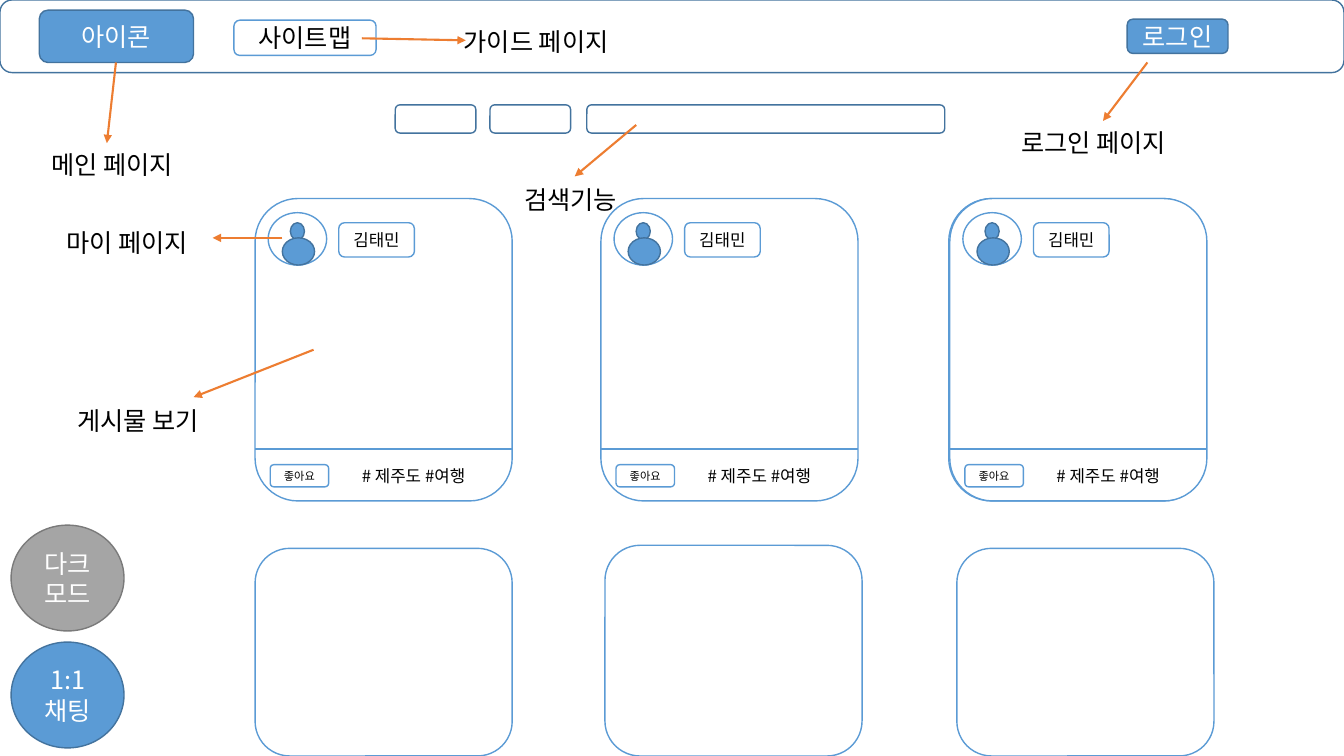
from dataclasses import dataclass

from lxml import etree
from pptx import Presentation
from pptx.dml.color import RGBColor
from pptx.enum.shapes import MSO_CONNECTOR, MSO_SHAPE
from pptx.enum.text import MSO_ANCHOR, MSO_AUTO_SIZE, PP_ALIGN
from pptx.oxml.ns import qn
from pptx.util import Inches, Pt


@dataclass(frozen=True)
class Theme:
    font: str = "Noto Sans CJK KR"
    white: str = "FFFFFF"
    black: str = "000000"
    blue: str = "5B9BD5"
    navy: str = "43739E"
    gray: str = "A5A5A5"
    dark_gray: str = "7A7A7A"
    orange: str = "ED7D31"
    title: int = 18
    body: int = 12
    small: int = 8
    outline: float = 1
    rule: float = 1.5


THEME = Theme()
ROUND, OVAL = MSO_SHAPE.ROUNDED_RECTANGLE, MSO_SHAPE.OVAL

# Boxes are (left, top, width, height) in inches.
HEADER = (0, 0, 13.33, 0.72)
HEADER_BUTTONS = [
    ("아이콘", (0.39, 0.1, 1.53, 0.52)),
    ("로그인", (11.18, 0.19, 1, 0.34)),
]
SITEMAP = ("사이트맵", (2.32, 0.2, 1.41, 0.35))
SEARCH_TOP, SEARCH_HEIGHT = 1.04, 0.28
SEARCH_FIELDS = [(3.92, 0.8), (4.86, 0.8), (5.82, 3.55)]  # left, width

CARD_TOP, CARD_WIDTH, CARD_HEIGHT = 1.97, 2.55, 3
CARD_LEFTS = [2.53, 5.96, 9.42]
BACK_CARD_LEFT = 9.41
AUTHOR, LIKE, TAGS = "김태민", "좋아요", "# 제주도 #여행"
NEXT_CARDS = [(2.53, 5.44), (6, 5.41), (9.49, 5.44)]  # left, top
SLIDE_WIDTH, SLIDE_HEIGHT = 13.33, 7.5

# Text, label box, arrow start, arrow end
CALLOUTS = [
    ("로그인 페이지", (10.03, 1.21, 1.81, 0.4), (11.38, 0.62), (10.94, 1.2)),
    ("메인 페이지", (0.41, 1.43, 1.55, 0.4), (1.15, 0.62), (1.06, 1.42)),
    ("마이 페이지", (0.56, 2.21, 1.55, 0.4), (2.8, 2.36), (2.11, 2.36)),
    ("게시물 보기", (0.67, 3.97, 1.55, 0.4), (3.11, 3.47), (1.92, 3.94)),
    ("검색기능", (5.1, 1.78, 1.21, 0.4), (6.31, 1.24), (5.7, 1.75)),
    ("가이드 페이지", (4.5, 0.21, 1.81, 0.4), (3.59, 0.38), (4.62, 0.4)),
]
ROUND_BUTTONS = [
    ("1:1 채팅", 6.37, THEME.blue, THEME.navy),
    ("다크모드", 5.21, THEME.gray, THEME.dark_gray),
]


def color(code):
    return RGBColor.from_string(code)


def write(frame, text, size, ink, align):
    paragraph = frame.paragraphs[0]
    paragraph.alignment = align
    run = paragraph.add_run()
    run.text = text
    run.font.size = Pt(size)
    run.font.name = THEME.font
    run.font.color.rgb = color(ink)
    fonts = run.font._element
    etree.SubElement(fonts, qn("a:ea")).set("typeface", THEME.font)


def add_box(slide, kind, box, fill=THEME.white, line=THEME.blue,
            text="", size=THEME.title, ink=THEME.black):
    shape = slide.shapes.add_shape(kind, *map(Inches, box))
    shape.shadow.inherit = False
    shape.fill.solid()
    shape.fill.fore_color.rgb = color(fill)
    shape.line.color.rgb = color(line)
    shape.line.width = Pt(THEME.outline)
    if text:
        shape.text_frame.word_wrap = True
        shape.text_frame.vertical_anchor = MSO_ANCHOR.MIDDLE
        write(shape.text_frame, text, size, ink, PP_ALIGN.CENTER)


def add_label(slide, text, box, size=THEME.title):
    frame = slide.shapes.add_textbox(*map(Inches, box)).text_frame
    frame.word_wrap = False
    frame.auto_size = MSO_AUTO_SIZE.SHAPE_TO_FIT_TEXT
    write(frame, text, size, THEME.black, PP_ALIGN.LEFT)


def add_line(slide, start, end, ink, arrow=False):
    line = slide.shapes.add_connector(
        MSO_CONNECTOR.STRAIGHT, *map(Inches, start + end))
    line.line.color.rgb = color(ink)
    line.line.width = Pt(THEME.rule)
    if arrow:
        etree.SubElement(line.line._get_or_add_ln(), qn("a:tailEnd")).set("type", "triangle")
    etree.SubElement(line._element.spPr, qn("a:effectLst"))


def add_card_frame(slide, left):
    add_box(slide, ROUND, (left, CARD_TOP, CARD_WIDTH, CARD_HEIGHT))
    add_line(slide, (left, 4.45), (left + CARD_WIDTH, 4.45), THEME.blue)


def add_card(slide, left):
    add_card_frame(slide, left)
    add_box(slide, OVAL, (left + 0.13, 2.11, 0.58, 0.52))
    add_box(slide, ROUND, (left + 0.83, 2.21, 0.75, 0.34),
            text=AUTHOR, size=THEME.body)
    for offset, top, width, height in [(0.35, 2.21, 0.14, 0.17), (0.27, 2.36, 0.32, 0.27)]:
        add_box(slide, OVAL, (left + offset, top, width, height), THEME.blue, THEME.navy)
    add_box(slide, ROUND, (left + 0.15, 4.61, 0.58, 0.22),
            text=LIKE, size=THEME.small)
    add_label(slide, TAGS, (left + 0.96, 4.57, 1.37, 0.3), THEME.body)


def main():
    deck = Presentation()
    deck.slide_width, deck.slide_height = Inches(SLIDE_WIDTH), Inches(SLIDE_HEIGHT)
    slide = deck.slides.add_slide(deck.slide_layouts[6])

    add_box(slide, ROUND, HEADER, line=THEME.navy)
    for text, box in HEADER_BUTTONS:
        add_box(slide, ROUND, box, THEME.blue, THEME.navy, text, ink=THEME.white)
    for left, width in SEARCH_FIELDS:
        add_box(slide, ROUND, (left, SEARCH_TOP, width, SEARCH_HEIGHT), line=THEME.navy)

    add_card_frame(slide, BACK_CARD_LEFT)
    for left, top in NEXT_CARDS:
        add_box(slide, ROUND, (left, top, CARD_WIDTH, SLIDE_HEIGHT - top))
    for left in CARD_LEFTS:
        add_card(slide, left)

    sitemap, sitemap_box = SITEMAP
    add_box(slide, ROUND, sitemap_box, text=sitemap)
    for text, box, start, end in CALLOUTS:
        add_line(slide, start, end, THEME.orange, arrow=True)
        add_label(slide, text, box)
    for text, top, fill, line in ROUND_BUTTONS:
        add_box(slide, OVAL, (0.11, top, 1.12, 1.05), fill, line, text, ink=THEME.white)

    deck.save("out.pptx")


if __name__ == "__main__":
    main()
